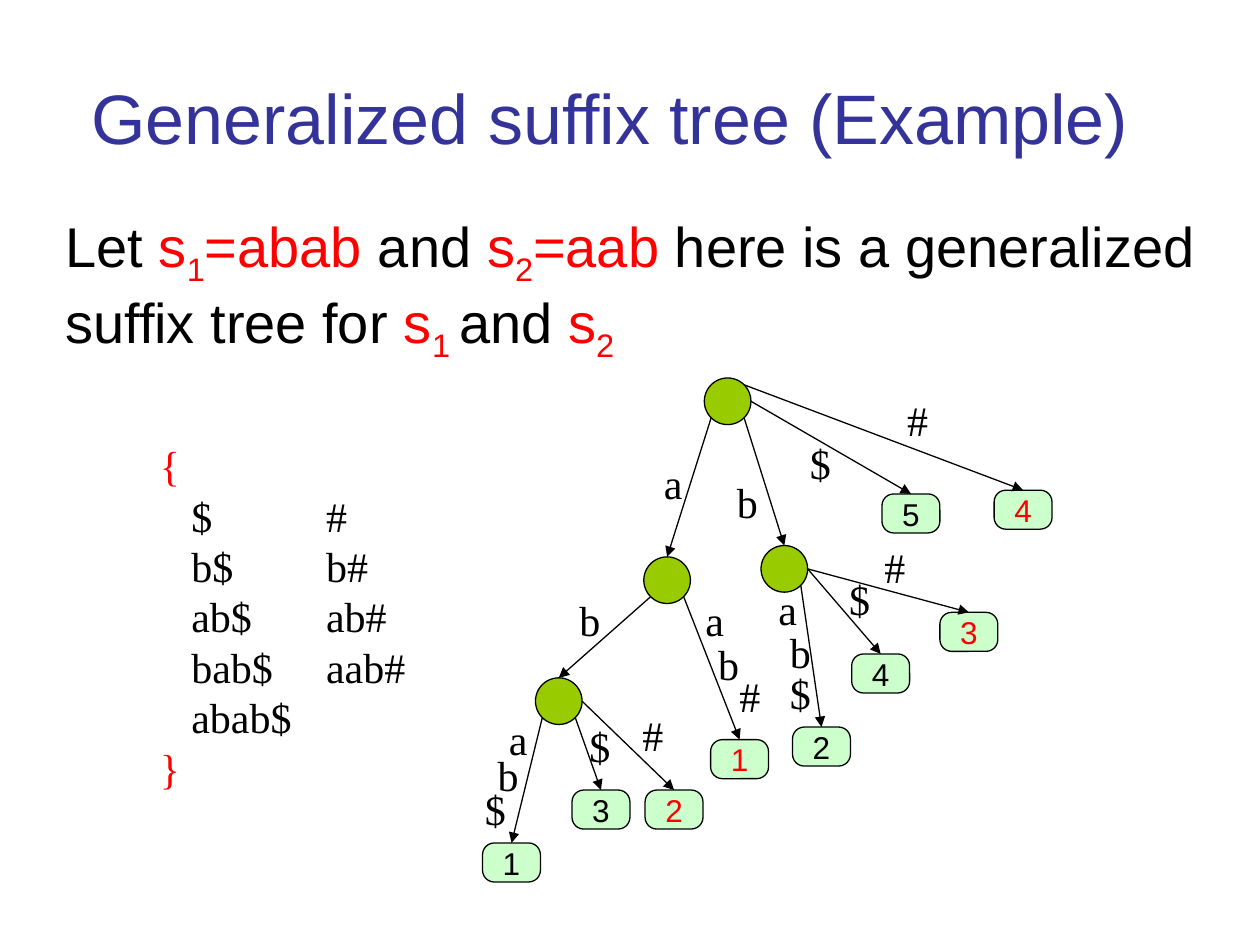
from math import sqrt

from lxml import etree
from pptx import Presentation
from pptx.dml.color import RGBColor
from pptx.enum import shapes, text
from pptx.oxml import ns
from pptx.util import Inches, Pt

BLACK = RGBColor(0, 0, 0)
RED = RGBColor(0xFF, 0, 0)
BLUE = RGBColor(0x33, 0x33, 0x99)
NODE_GREEN = RGBColor(0x99, 0xCC, 0)
LEAF_GREEN = RGBColor(0xCC, 0xFF, 0xCC)

TITLE = "Generalized suffix tree (Example)"
# Runs of the sentence: text, colour, is subscript
SENTENCE = [
    ("Let ", BLACK, False), ("s", RED, False), ("1", RED, True), ("=abab ", RED, False),
    ("and ", BLACK, False), ("s", RED, False), ("2", RED, True), ("=aab", RED, False),
    (" here is a generalized suffix tree for ", BLACK, False),
    ("s", RED, False), ("1 ", RED, True), ("and ", BLACK, False),
    ("s", RED, False), ("2", RED, True),
]
SUFFIXES = [("$", "#"), ("b$", "b#"), ("ab$", "ab#"), ("bab$", "aab#"), ("abab$",)]
SUFFIX_TABS = (0.25, 1.32)

NODE_SIZE = 0.37
LEAF_WIDTH, LEAF_HEIGHT = 0.46, 0.31
LABEL_WIDTH, LABEL_HEIGHT = 0.42, 0.5

# Inner nodes: name -> left, top
NODES = {"root": (5.59, 3), "a": (5.11, 4.42), "b": (6.04, 4.33), "ab": (4.25, 5.38)}
# Leaves: name -> left, top, suffix start, colour (black for s1, red for s2)
LEAVES = {
    "abab$": (3.83, 6.69, "1", BLACK), "bab$": (6.29, 5.77, "2", BLACK),
    "ab$": (4.54, 6.27, "3", BLACK), "b$": (6.76, 5.19, "4", BLACK),
    "$": (7, 3.92, "5", BLACK), "aab#": (5.64, 5.87, "1", RED),
    "ab#": (5.12, 6.27, "2", RED), "b#": (7.46, 4.86, "3", RED),
    "#": (7.89, 3.89, "4", RED),
}
# Edges: parent, side it leaves from, child, letters with left and top
EDGES = [
    ("root", "SW", "a", [("a", 5.17, 3.58)]),
    ("root", "SE", "b", [("b", 5.75, 3.73)]),
    ("root", "E", "$", [("$", 6.33, 3.42)]),
    ("root", "NE", "#", [("#", 7.1, 3.08)]),
    ("a", "SW", "ab", [("b", 4.5, 4.67)]),
    ("a", "SE", "aab#", [("a", 5.5, 4.67), ("b", 5.6, 5.02), ("#", 5.77, 5.27)]),
    ("b", "SE", "bab$", [("a", 6.08, 4.58), ("b", 6.17, 4.92), ("$", 6.17, 5.25)]),
    ("b", "E", "b$", [("$", 6.64, 4.5)]),
    ("b", "E", "b#", [("#", 6.92, 4.25)]),
    ("ab", "SW", "abab$", [("a", 3.94, 5.61), ("b", 3.85, 5.9), ("$", 3.75, 6.17)]),
    ("ab", "SE", "ab$", [("$", 4.58, 5.67)]),
    ("ab", "E", "ab#", [("#", 5, 5.58)]),
]
DIAGONAL = 1 / sqrt(2)
SIDES = {"SW": (-DIAGONAL, DIAGONAL), "SE": (DIAGONAL, DIAGONAL),
         "NE": (DIAGONAL, -DIAGONAL), "E": (1, 0)}


def set_font(paragraph, name, size, color=None):
    paragraph.font.name = name
    paragraph.font.size = Pt(size)
    if color is not None:
        paragraph.font.color.rgb = color


def add_text_box(slide, left, top, width, height):
    box = slide.shapes.add_textbox(Inches(left), Inches(top), Inches(width), Inches(height))
    box.text_frame.word_wrap = True
    return box.text_frame


def add_tab_stops(paragraph, positions):
    tab_list = etree.SubElement(paragraph._p.get_or_add_pPr(), ns.qn("a:tabLst"))
    for position in positions:
        etree.SubElement(tab_list, ns.qn("a:tab"), pos=str(Inches(position)), algn="l")


def add_outlined_shape(slide, kind, left, top, width, height, color):
    shape = slide.shapes.add_shape(kind, Inches(left), Inches(top), Inches(width), Inches(height))
    shape.shadow.inherit = False
    shape.fill.solid()
    shape.fill.fore_color.rgb = color
    shape.line.color.rgb = BLACK
    shape.line.width = Pt(0.75)
    return shape


def add_leaf(slide, left, top, number, color):
    leaf = add_outlined_shape(slide, shapes.MSO_SHAPE.ROUNDED_RECTANGLE, left, top,
                              LEAF_WIDTH, LEAF_HEIGHT, LEAF_GREEN)
    leaf.adjustments[0] = 0.3
    frame = leaf.text_frame
    frame.word_wrap = False
    frame.vertical_anchor = text.MSO_ANCHOR.MIDDLE
    paragraph = frame.paragraphs[0]
    paragraph.text = number
    paragraph.alignment = text.PP_ALIGN.CENTER
    set_font(paragraph, "Arial", 18, color)
    return leaf


def add_edge(slide, parent, side, child):
    """Draw an arrow from a side of the parent circle to the top of the child."""
    across, down = SIDES[side]
    radius = parent.width / 2
    start_x = int(parent.left + radius * (1 + across))
    start_y = int(parent.top + radius * (1 + down))
    edge = slide.shapes.add_connector(shapes.MSO_CONNECTOR.STRAIGHT, start_x, start_y,
                                      child.left + child.width // 2, child.top)
    edge.end_connect(child, 0)
    edge.line.color.rgb = BLACK
    edge.line.width = Pt(0.75)
    etree.SubElement(edge.line._get_or_add_ln(), ns.qn("a:tailEnd"), type="triangle")
    etree.SubElement(edge._element.spPr, ns.qn("a:effectLst"))


def add_heading(slide):
    frame = add_text_box(slide, 0.34, 0.3, 9, 1.25)
    frame.vertical_anchor = text.MSO_ANCHOR.MIDDLE
    paragraph = frame.paragraphs[0]
    paragraph.text = TITLE
    paragraph.alignment = text.PP_ALIGN.CENTER
    set_font(paragraph, "Arial", 40, BLUE)


def add_sentence(slide):
    paragraph = add_text_box(slide, 0.42, 1.63, 9.25, 1.32).paragraphs[0]
    paragraph.line_spacing = Pt(43.5)
    set_font(paragraph, "Arial", 32)
    for words, color, is_subscript in SENTENCE:
        run = paragraph.add_run()
        run.text = words
        run.font.color.rgb = color
        if is_subscript:
            run.font._element.set("baseline", "-25000")


def add_suffix_set(slide):
    frame = add_text_box(slide, 1.17, 3.44, 2.54, 2.9)
    rows = ["\t" + "\t".join(row) for row in SUFFIXES]
    frame.text = "\n".join(["{", *rows, "}"])
    for paragraph in frame.paragraphs:
        paragraph.line_spacing = Pt(28.8)
        add_tab_stops(paragraph, SUFFIX_TABS)
        set_font(paragraph, "Times New Roman", 24, RED if paragraph.text in "{}" else BLACK)


def add_tree(slide):
    vertices = {name: add_outlined_shape(slide, shapes.MSO_SHAPE.OVAL, left, top,
                                         NODE_SIZE, NODE_SIZE, NODE_GREEN)
                for name, (left, top) in NODES.items()}
    vertices.update({name: add_leaf(slide, *leaf) for name, leaf in LEAVES.items()})
    for parent, side, child, letters in EDGES:
        add_edge(slide, vertices[parent], side, vertices[child])
        for letter, left, top in letters:
            paragraph = add_text_box(slide, left, top, LABEL_WIDTH, LABEL_HEIGHT).paragraphs[0]
            paragraph.text = letter
            paragraph.line_spacing = Pt(28.8)
            set_font(paragraph, "Times New Roman", 24, BLACK)


def main():
    presentation = Presentation()
    presentation.slide_width, presentation.slide_height = Inches(10), Inches(7.5)
    slide = presentation.slides.add_slide(presentation.slide_layouts[6])
    add_heading(slide)
    add_sentence(slide)
    add_suffix_set(slide)
    add_tree(slide)
    presentation.save("out.pptx")


if __name__ == "__main__":
    main()
